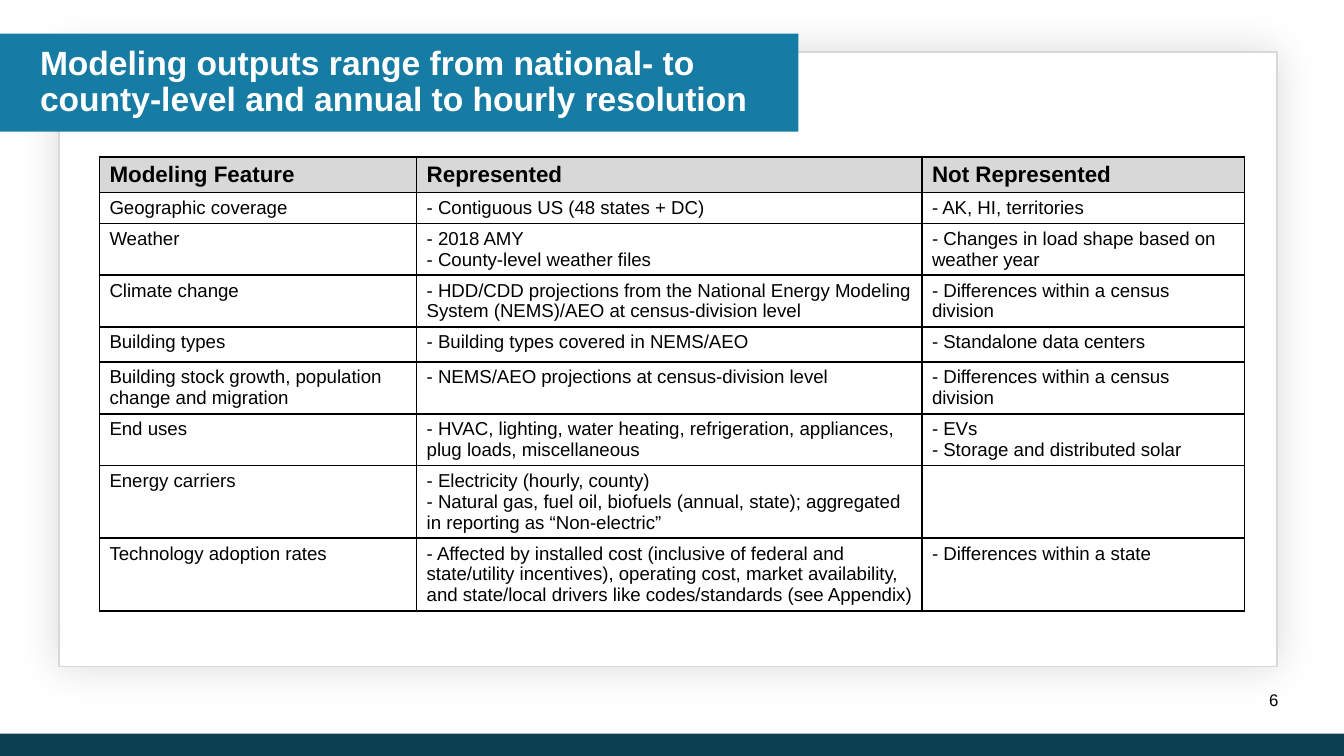
"""Build a slide with a table of what the model does and does not represent."""
from dataclasses import dataclass

from lxml import etree
from pptx import Presentation
from pptx.dml.color import RGBColor
from pptx.enum.shapes import MSO_SHAPE
from pptx.enum.text import MSO_ANCHOR, PP_ALIGN
from pptx.oxml import parse_xml
from pptx.oxml.ns import nsdecls, qn
from pptx.util import Inches, Pt

RECT = MSO_SHAPE.RECTANGLE
MIDDLE = MSO_ANCHOR.MIDDLE
LEFT, RIGHT = PP_ALIGN.LEFT, PP_ALIGN.RIGHT


@dataclass(frozen=True)
class Theme:
    font: str = "Arial"
    black: str = "000000"
    white: str = "FFFFFF"
    grey: str = "D8D8D8"
    blue: str = "177CA3"
    navy: str = "0B3E51"
    title: int = 18
    header: int = 12
    body: int = 10
    number: int = 9


THEME = Theme()
CELL_PADDING = 0.15
COLUMNS = (2.36, 3.76, 2.4)
ROWS = (0.18, 0.16, 0.26, 0.26, 0.26, 0.26, 0.26, 0.37, 0.37)
FEATURES = (
    ("Modeling Feature", "Represented", "Not Represented"),
    ("Geographic coverage", "- Contiguous US (48 states + DC)", "- AK, HI, territories"),
    ("Weather", "- 2018 AMY\n- County-level weather files",
     "- Changes in load shape based on weather year"),
    ("Climate change",
     "- HDD/CDD projections from the National Energy Modeling System (NEMS)/AEO "
     "at census-division level",
     "- Differences within a census division"),
    ("Building types", "- Building types covered in NEMS/AEO", "- Standalone data centers"),
    ("Building stock growth, population change and migration",
     "- NEMS/AEO projections at census-division level",
     "- Differences within a census division"),
    ("End uses",
     "- HVAC, lighting, water heating, refrigeration, appliances, plug loads, miscellaneous",
     "- EVs\n- Storage and distributed solar"),
    ("Energy carriers",
     "- Electricity (hourly, county)\n- Natural gas, fuel oil, biofuels (annual, state); "
     "aggregated in reporting as “Non-electric”",
     ""),
    ("Technology adoption rates",
     "- Affected by installed cost (inclusive of federal and state/utility incentives), "
     "operating cost, market availability, and state/local drivers like codes/standards "
     "(see Appendix)",
     "- Differences within a state"),
)


def rgb(color):
    """Turn a hex string into a colour."""
    return RGBColor.from_string(color)


def write(p, text, size, color, bold=False):
    """Add one formatted run to a paragraph."""
    r = p.add_run()
    r.text = text
    r.font.name = THEME.font
    r.font.size = Pt(size)
    r.font.bold = bold
    r.font.color.rgb = rgb(color)


def add_box(s, x, y, w, h, fill, line=None):
    """Add a flat rectangle."""
    sp = s.shapes.add_shape(RECT, Inches(x), Inches(y), Inches(w), Inches(h))
    sp.shadow.inherit = False
    sp.fill.solid()
    sp.fill.fore_color.rgb = rgb(fill)
    if line:
        sp.line.color.rgb = rgb(line)
        sp.line.width = Pt(1)
    else:
        sp.line.fill.background()
    return sp


def add_glow(sp, blur, alpha):
    """Give a shape a soft shadow on all sides."""
    effects = sp._element.spPr.find(qn("a:effectLst"))
    shadow = etree.SubElement(effects, qn("a:outerShdw"), blurRad=str(Pt(blur)),
                              dist="0", dir="0", algn="ctr", rotWithShape="0")
    color = etree.SubElement(shadow, qn("a:srgbClr"), val=THEME.black)
    etree.SubElement(color, qn("a:alpha"), val=str(alpha * 1000))


def add_title(s, text):
    """Add the title banner."""
    sp = add_box(s, 0, 0.25, 5.94, 0.73, THEME.blue)
    tf = sp.text_frame
    tf.word_wrap = True
    tf.vertical_anchor = MIDDLE
    p = tf.paragraphs[0]
    p.alignment = LEFT
    p.line_spacing = 0.9
    p._p.get_or_add_pPr().set("marL", str(Inches(0.2)))
    write(p, text, THEME.title, THEME.white, bold=True)


def add_number(s, text):
    """Add the slide number."""
    sp = s.shapes.add_textbox(Inches(8.99), Inches(5.06), Inches(0.62), Inches(0.3))
    tf = sp.text_frame
    tf.word_wrap = True
    tf.vertical_anchor = MIDDLE
    p = tf.paragraphs[0]
    p.alignment = RIGHT
    write(p, text, THEME.number, THEME.black)


def add_borders(cell):
    """Draw a thin line on each side of a cell."""
    tcPr = cell._tc.get_or_add_tcPr()
    for i, side in enumerate("LRTB"):
        tcPr.insert(i, parse_xml(
            f'<a:ln{side} {nsdecls("a")} w="{Pt(1)}"><a:solidFill>'
            f'<a:srgbClr val="{THEME.black}"/></a:solidFill></a:ln{side}>'))


def fill_cell(cell, text, header):
    """Set the text, fill and borders of a cell."""
    cell.margin_left = cell.margin_right = Inches(CELL_PADDING / 2)
    cell.margin_top = cell.margin_bottom = Inches(CELL_PADDING / 4)
    cell.fill.solid()
    cell.fill.fore_color.rgb = rgb(THEME.grey if header else THEME.white)
    add_borders(cell)
    tf = cell.text_frame
    size = THEME.header if header else THEME.body
    for i, line in enumerate(text.splitlines()):
        p = tf.add_paragraph() if i else tf.paragraphs[0]
        write(p, line, size, THEME.black, bold=header)


def add_features(s):
    """Add the table of modeling features."""
    frame = s.shapes.add_table(len(ROWS), len(COLUMNS), Inches(0.74), Inches(1.17),
                               Inches(sum(COLUMNS)), Inches(sum(ROWS)))
    table = frame.table
    table.horz_banding = False
    for column, width in zip(table.columns, COLUMNS):
        column.width = Inches(width)
    for i, (row, height) in enumerate(zip(table.rows, ROWS)):
        row.height = Inches(height)
        for cell, text in zip(row.cells, FEATURES[i]):
            fill_cell(cell, text, header=i == 0)


def main():
    """Build and save the slide."""
    prs = Presentation()
    prs.slide_width, prs.slide_height = Inches(10), Inches(10 * 9 / 16)
    s = prs.slides.add_slide(prs.slide_layouts[6])
    card = add_box(s, 0.44, 0.39, 9.06, 4.57, THEME.white, THEME.grey)
    add_glow(card, 23.3, 14)
    add_box(s, 0, 5.46, 10, 0.17, THEME.navy)
    add_features(s)
    add_title(s, "Modeling outputs range from national- to county-level "
                 "and annual to hourly resolution")
    add_number(s, "6")
    prs.save("out.pptx")


if __name__ == "__main__":
    main()
